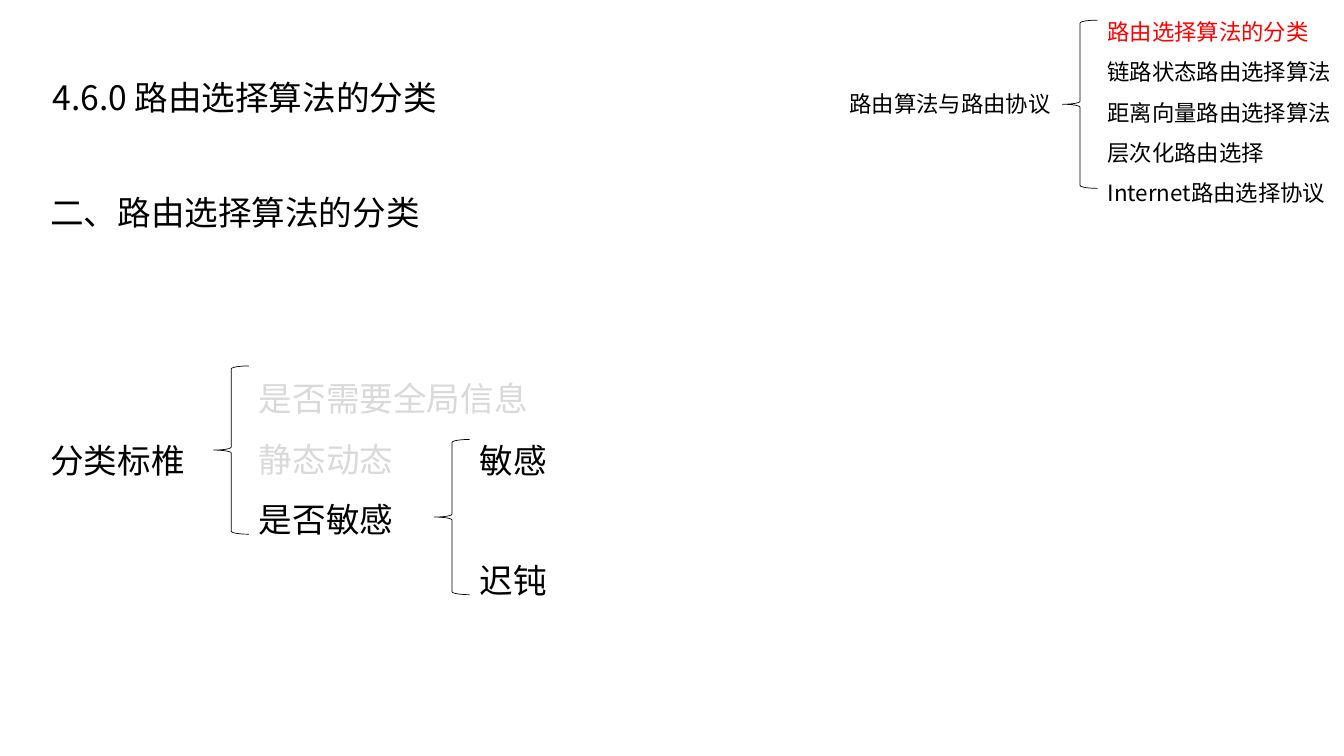
from lxml.etree import SubElement
from pptx import Presentation
from pptx.dml.color import RGBColor
from pptx.enum.shapes import MSO_SHAPE
from pptx.enum.text import MSO_ANCHOR, MSO_AUTO_SIZE
from pptx.oxml.ns import qn
from pptx.util import Pt

FONT = "Noto Sans CJK SC"
COLORS = {"text": "000000", "current": "FF0000", "faded": "D9D9D9"}
HEADING_SIZE, OUTLINE_SIZE = 24, 16
MARGIN = 28.8
BRACE_WIDTH = 25.2
BLANK_LAYOUT = 6

TITLE = {"lines": [("4.6.0 路由选择算法的分类", "text")],
         "box": (MARGIN, 24.5, 486, 74.9)}

# Each box is left, top, width, height
LABELS = [
    {"lines": [("二、路由选择算法的分类", "text")],
     "box": (MARGIN, 118.8, 626.4, 46.1), "wrap": True},
    {"lines": [("分类标椎", "text")], "box": (MARGIN, 296, 111.6, 51.1)},
    {"lines": [("路由算法与路由协议", "text")], "box": (599.8, 61.2, 159.8, 26.6),
     "size": OUTLINE_SIZE, "spacing": 1.0},
]

# Each list has a brace on its left; "brace" is its top and height
BRACED_LISTS = [
    {"lines": [("路由选择算法的分类", "current"),
               ("链路状态路由选择算法", "text"),
               ("距离向量路由选择算法", "text"),
               ("层次化路由选择", "text"),
               ("Internet路由选择协议", "text")],
     "box": (784.1, 0, 176.4, 149), "size": OUTLINE_SIZE, "brace": (14.4, 120.2)},
    {"lines": [("是否需要全局信息", "faded"),
               ("静态动态", "faded"),
               ("是否敏感", "text")],
     "box": (177.8, 252, 231.1, 138.2), "wrap": True, "brace": (261.4, 120.2)},
    {"lines": [("敏感", "text"), ("迟钝", "text")],
     "box": (335.5, 296, 63.4, 138.2), "gap": 43, "brace": (313.9, 110.9)},
]


def add_text(slide, lines, box, size=HEADING_SIZE, spacing=1.5, wrap=False, gap=0):
    """Add a text box with one paragraph per line, gap points apart."""
    shape = slide.shapes.add_textbox(*map(Pt, box))
    frame = shape.text_frame
    frame.word_wrap = wrap
    frame.auto_size = MSO_AUTO_SIZE.SHAPE_TO_FIT_TEXT
    frame.text = "\n".join(text for text, _ in lines)
    for index, (paragraph, (_, color)) in enumerate(zip(frame.paragraphs, lines)):
        paragraph.line_spacing = spacing
        if index and gap:
            paragraph.space_before = Pt(gap)
        run = paragraph.runs[0]
        run.font.size = Pt(size)
        run.font.name = FONT
        run.font.color.rgb = RGBColor.from_string(COLORS[color])
        SubElement(run.font._element, qn("a:ea"), typeface=FONT)
    return shape


def add_brace(slide, right, top, height):
    brace = slide.shapes.add_shape(MSO_SHAPE.LEFT_BRACE, Pt(right - BRACE_WIDTH),
                                   Pt(top), Pt(BRACE_WIDTH), Pt(height))
    brace.shadow.inherit = False
    brace.fill.background()
    brace.line.color.rgb = RGBColor.from_string(COLORS["text"])
    brace.line.width = Pt(0.5)


def add_title(slide):
    frame = add_text(slide, **TITLE, wrap=True).text_frame
    frame.auto_size = MSO_AUTO_SIZE.NONE
    frame.vertical_anchor = MSO_ANCHOR.MIDDLE
    frame.margin_left = frame.margin_right = Pt(8.64)
    frame.margin_top = frame.margin_bottom = Pt(4.32)


def main():
    presentation = Presentation()
    presentation.slide_width, presentation.slide_height = Pt(960), Pt(540)
    slide = presentation.slides.add_slide(presentation.slide_layouts[BLANK_LAYOUT])
    add_title(slide)
    for label in LABELS:
        add_text(slide, **label)
    for braced_list in BRACED_LISTS:
        options = dict(braced_list)
        top, height = options.pop("brace")
        add_text(slide, **options)
        add_brace(slide, options["box"][0], top, height)
    presentation.save("out.pptx")


if __name__ == "__main__":
    main()
